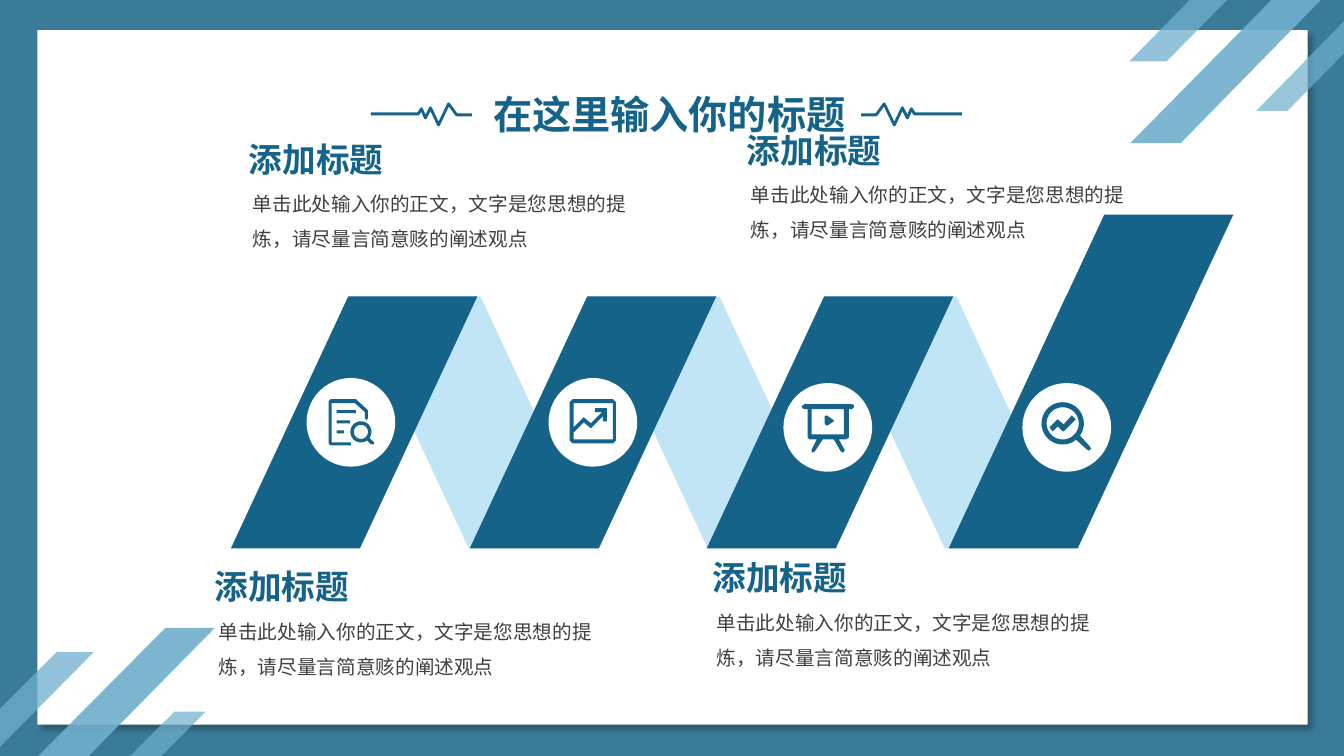
import math
from dataclasses import dataclass

import pptx
import pptx.dml.color
import pptx.enum.shapes
import pptx.enum.text
import pptx.oxml
import pptx.oxml.ns
import pptx.util
from pptx.util import Inches


@dataclass(frozen=True)
class Theme:
    frame: str = "3A7B99"
    paper: str = "FFFFFF"
    stripe: str = "70AFCE"
    dark: str = "156389"
    light: str = "C2E5F6"
    body: str = "404040"
    font: str = "Noto Sans CJK SC"
    title_size: int = 28
    heading_size: int = 24
    body_size: int = 14


THEME = Theme()
HEADING = "添加标题"
BODY = "单击此处输入你的正文，文字是您思想的提炼，请尽量言简意赅的阐述观点"


def rgb(color):
    return pptx.dml.color.RGBColor.from_string(color)


def child(parent, xml):
    """Append an element given as DrawingML text."""
    head, rest = xml.split(" ", 1)
    element = pptx.oxml.parse_xml(f"{head} {pptx.oxml.ns.nsdecls('a')} {rest}")
    parent.append(element)
    return element


def paint(shape, color, opacity=100):
    shape.shadow.inherit = False
    shape.fill.solid()
    shape.fill.fore_color.rgb = rgb(color)
    shape.line.fill.background()
    if opacity < 100:
        solid = shape.fill._xPr.find(pptx.oxml.ns.qn("a:solidFill"))
        child(solid[0], f'<a:alpha val="{opacity * 1000}"/>')
    return shape


def outline(slide, contours, closed=True):
    """One freeform from lists of points in inches; inner contours cut holes."""
    contours = [[(Inches(x), Inches(y)) for x, y in points] for points in contours]
    builder = slide.shapes.build_freeform(*contours[0][0])
    for index, points in enumerate(contours):
        if index:
            builder.move_to(*points[0])
        builder.add_line_segments(points[1:], close=closed)
    return builder.convert_to_shape()


def preset(slide, kind, left, top, width, height, color):
    box = map(Inches, (left, top, width, height))
    return paint(slide.shapes.add_shape(kind, *box), color)


def write(shape, text, size, color, bold, spacing, wrap=True):
    frame = shape.text_frame
    frame_format = {
        "word_wrap": wrap,
        "auto_size": pptx.enum.text.MSO_AUTO_SIZE.SHAPE_TO_FIT_TEXT,
        "vertical_anchor": pptx.enum.text.MSO_ANCHOR.TOP,
        "margin_left": Inches(0.1), "margin_right": Inches(0.1),
        "margin_top": Inches(0.05), "margin_bottom": Inches(0.05),
    }
    paragraph = frame.paragraphs[0]
    paragraph_format = {
        "alignment": pptx.enum.text.PP_ALIGN.LEFT,
        "line_spacing": pptx.util.Pt(size * spacing),
        "space_before": pptx.util.Pt(0),
    }
    run = paragraph.add_run()
    run.text = text
    font_format = {"size": pptx.util.Pt(size), "bold": bold, "name": THEME.font}
    for target, values in ((frame, frame_format), (paragraph, paragraph_format),
                           (run.font, font_format)):
        for name, value in values.items():
            setattr(target, name, value)
    run.font.color.rgb = rgb(color)
    child(run._r.get_or_add_rPr(), f'<a:ea typeface="{THEME.font}"/>')


def backdrop(slide, width, height):
    rectangle = pptx.enum.shapes.MSO_SHAPE.RECTANGLE
    preset(slide, rectangle, 0, 0, width, height, THEME.frame)
    paper = preset(slide, rectangle, 0.37, 0.3, 12.6, 6.89, THEME.paper)
    effects = paper._element.spPr.find(pptx.oxml.ns.qn("a:effectLst"))
    child(effects, '<a:outerShdw blurRad="50800" dist="63500" dir="2700000">'
                   '<a:srgbClr val="0D0D0D"><a:alpha val="30000"/></a:srgbClr></a:outerShdw>')
    stripes = [
        (90, [(12.61, 0), (13.1, 0), (11.71, 1.42), (11.21, 1.42)]),
        (75, [(11.8, 0), (12.17, 0), (11.57, 0.61), (11.2, 0.61)]),
        (70, [(width, 0.21), (width, 0.53), (12.77, 1.1), (12.46, 1.1)]),
        (90, [(1.64, 6.23), (2.13, 6.23), (0.88, height), (0.38, height)]),
        (75, [(0.56, 6.47), (0.93, 6.47), (0, 7.41), (0, 7.03)]),
        (70, [(1.73, 7.06), (2.04, 7.06), (1.6, height), (1.29, height)]),
    ]
    for opacity, corners in stripes:
        paint(outline(slide, [corners]), THEME.stripe, opacity)


def title_row(slide, left, top, width, height):
    pulse = [(0, 0.29), (0.15, 0.29), (0.23, 0.18), (0.33, 0.39), (0.41, 0.22),
             (0.46, 0.32), (0.5, 0.23), (0.53, 0.28), (1, 0.28)]
    for start, direction in ((left - 0.11, -1), (left + width, 1)):
        line = outline(slide, [[(start + direction * x, top + y) for x, y in pulse]], False)
        line.shadow.inherit = False
        line.fill.background()
        line.line.color.rgb = rgb(THEME.dark)
        line.line.width = pptx.util.Pt(2)
    title = slide.shapes.title
    title.left, title.top, title.width, title.height = map(Inches, (left, top, width, height))
    write(title, "在这里输入你的标题", THEME.title_size, THEME.dark, True, 1.2)
    slide.shapes._spTree.append(title._element)


def bar(left, top, right, bottom):
    return [(left, top), (right, top), (right, bottom), (left, bottom)]


def arc(x, y, radius, start=0, end=350):
    angles = [math.radians(start + (end - start) * i / 35) for i in range(36)]
    return [(x + radius * math.cos(a), y + radius * math.sin(a)) for a in angles]


def lens(x, y, outer, inner, handle):
    """Ring open at its lower right, where the handle starts."""
    return [arc(x, y, outer, 54, 395) + handle, arc(x, y, inner)]


# Icon contours in hundredths of an inch from the centre of their badge
REPORT = [
    [(17, -11), (17, -4), (15.5, -2), (14, -4), (14, -10), (4, -19), (-19, -19), (-19, 20),
     (0, 20), (0, 23), (-20, 23), (-22, 21), (-22, -21), (-20, -23), (5, -23), (17, -12)],
    *lens(10, 9.5, 10.5, 7, [(18, 15), (23, 20), (23, 22), (20, 22), (16, 18)]),
    bar(-14, -12, 5, -9), bar(-14, -2, -1, 1), bar(-14, 8, -7, 11),
]
CHART = [
    [(-23, -20), (-20, -23), (20, -23), (23, -20), (23, 18), (20, 21), (-20, 21), (-23, 18)],
    [(14, -1), (10, -1), (10, -6), (0, 4), (-2, 6), (-9, 0), (-19, 10), (-19, 17), (20, 17),
     (20, -19), (-19, -19), (-19, 5), (-9, -5), (-2, 1), (9, -10), (2, -10), (2, -14), (14, -14)],
]
SCREEN = [
    [(-5, 12), (6, 12), (13, 24), (15, 25), (17, 23), (11, 12), (18, 12), (21, 10), (21, -18),
     (24, -18), (26, -20), (26, -22), (24, -23), (-23, -23), (-26, -21), (-25, -19), (-23, -18),
     (-20, -18), (-20, 10), (-18, 12), (-11, 12), (-16, 22), (-16, 25), (-13, 24)],
    bar(-16, -18, 16, 7),
    [(-3, -11), (-1, -12), (6, -7), (6, -6), (0, -2), (-2, -2), (-3, -4)],
]
ANALYSIS = [
    *lens(-4, -4, 21, 16, [(13, 8), (23, 19), (24, 21), (22, 23), (20, 22), (9, 12)]),
    [(-4, 4), (-9, -1), (-14, 4), (-17, 0), (-9, -8), (-3, -3), (5, -12), (9, -8), (-3, 4)],
]


def ribbon(slide, left, top, bottom, lean, color):
    """Slanted band whose bottom left corner is (left, bottom)."""
    width, shift = 1.28, lean * (bottom - top)
    paint(outline(slide, [[(left + shift, top), (left + shift + width, top),
                           (left + width, bottom), (left, bottom)]]), color)


def badge(slide, x, y, icon):
    radius = 0.44
    preset(slide, pptx.enum.shapes.MSO_SHAPE.OVAL, x - radius, y - radius,
           2 * radius, 2 * radius, THEME.paper)
    contours = [[(x + dx / 100, y + dy / 100) for dx, dy in points] for points in icon]
    paint(outline(slide, contours), THEME.dark)


def zigzag(slide, top, bottom):
    lean = 0.466
    steps = [(2.29, 3.48, 4.19, REPORT), (4.66, 5.88, 4.19, CHART),
             (7.01, 8.21, 4.24, SCREEN), (9.41, 10.58, 4.24, ANALYSIS)]
    last = steps[-1][0]
    for left, x, y, icon in steps:
        if left < last:
            ribbon(slide, left + 2.36, top, bottom, -lean, THEME.light)
        ribbon(slide, left, top, bottom, lean, THEME.dark)
        if left == last:
            joint = 3.52
            ribbon(slide, left + lean * (bottom - joint), 2.13, joint, lean, THEME.dark)
    for left, x, y, icon in steps:
        badge(slide, x, y, icon)


def caption(slide, left, top):
    body = slide.shapes.add_textbox(*map(Inches, (left + 0.04, top + 0.41, 4.04, 0.77)))
    write(body, BODY, THEME.body_size, THEME.body, False, 1.8)
    heading = slide.shapes.add_textbox(*map(Inches, (left, top, 1.58, 0.5)))
    write(heading, HEADING, THEME.heading_size, THEME.dark, True, 1.2, wrap=False)


def main():
    width, height = 13.33, 7.5
    deck = pptx.Presentation()
    deck.slide_width, deck.slide_height = Inches(width), Inches(height)
    slide = deck.slides.add_slide(deck.slide_layouts.get_by_name("Title Only"))
    backdrop(slide, width, height)
    title_row(slide, 4.79, 0.85, 3.75, 0.57)
    zigzag(slide, 2.94, 5.44)
    for left, top in ((2.37, 1.33), (7.31, 1.24), (2.03, 5.57), (6.97, 5.48)):
        caption(slide, left, top)
    deck.save("out.pptx")


if __name__ == "__main__":
    main()
